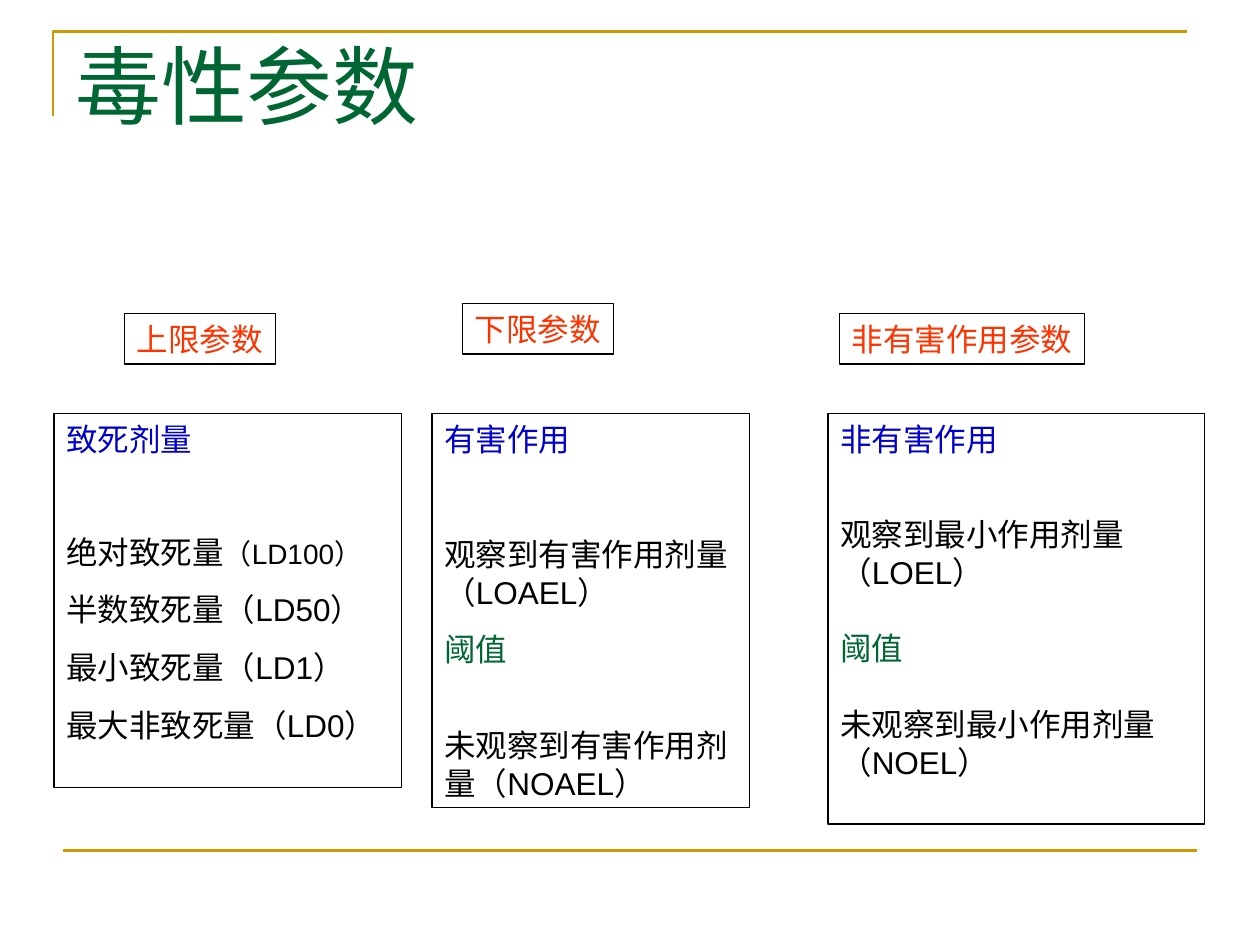
from dataclasses import dataclass

from lxml import etree
from pptx import Presentation
from pptx.dml.color import RGBColor
from pptx.enum import shapes, text
from pptx.oxml import ns
from pptx.util import Cm, Pt


@dataclass
class Theme:
    gold: str = "CC9900"
    green: str = "006633"
    red: str = "FF3300"
    blue: str = "0000CC"
    black: str = "000000"
    head: float = 49
    body: float = 18
    small: float = 16
    pitch: float = 21.7
    rule: float = 1.5
    edge: float = 0.75
    cjk: str = "Noto Sans CJK SC"
    sans: str = "Arial"


theme = Theme()


def style(run, size, tint, face):
    run.font.size = Pt(size)
    run.font.color.rgb = RGBColor.from_string(tint)
    run.font.name = face
    east = etree.SubElement(run.font._element, ns.qn("a:ea"))
    east.set("typeface", face)


def panel(left, top, width, height, rows, wrap):
    box = slide.shapes.add_shape(
        shapes.MSO_SHAPE.RECTANGLE, Cm(left), Cm(top), Cm(width), Cm(height))
    box.shadow.inherit = False
    box.fill.background()
    box.line.color.rgb = RGBColor.from_string(theme.black)
    box.line.width = Pt(theme.edge)
    frame = box.text_frame
    frame.word_wrap = wrap
    frame.vertical_anchor = text.MSO_ANCHOR.TOP
    for i, (gap, tint, words, *tail) in enumerate(rows):
        para = frame.add_paragraph() if i else frame.paragraphs[0]
        para.text = words
        para.alignment = text.PP_ALIGN.LEFT
        para.line_spacing = Pt(theme.pitch)
        para.space_before = Pt(gap)
        style(para.runs[0], theme.body, tint, theme.sans)
        for part in tail:
            run = para.add_run()
            run.text = part
            style(run, theme.small, tint, theme.sans)


deck = Presentation()
deck.slide_width, deck.slide_height = Cm(25.4), Cm(19.05)
slide = deck.slides.add_slide(deck.slide_layouts[5])

pen = slide.shapes.build_freeform(Cm(1.07), Cm(2.34))
pen.add_line_segments([(Cm(1.07), Cm(0.64)), (Cm(23.93), Cm(0.64))], close=False)
frame = pen.convert_to_shape()
frame.shadow.inherit = False
frame.fill.background()
foot = slide.shapes.add_connector(
    shapes.MSO_CONNECTOR.STRAIGHT, Cm(1.27), Cm(17.15), Cm(24.13), Cm(17.15))
etree.SubElement(foot._element.spPr, ns.qn("a:effectLst"))
for rule in (frame, foot):
    rule.line.color.rgb = RGBColor.from_string(theme.gold)
    rule.line.width = Pt(theme.rule)

title = slide.shapes.title
title.left, title.top, title.width, title.height = Cm(1.27), Cm(0.76), Cm(22.86), Cm(3.18)
title.text_frame.text = "毒性参数"
title.text_frame.auto_size = text.MSO_AUTO_SIZE.NONE
title.text_frame.vertical_anchor = text.MSO_ANCHOR.TOP
para = title.text_frame.paragraphs[0]
para.alignment = text.PP_ALIGN.LEFT
para.line_spacing = 0.9
style(para.runs[0], theme.head, theme.green, theme.cjk)

labels = [
    (2.51, 6.32, 3.05, "上限参数"),
    (9.32, 6.12, 3.05, "下限参数"),
    (16.92, 6.32, 4.95, "非有害作用参数"),
]
for left, top, width, words in labels:
    panel(left, top, width, 1.02, [(0, theme.red, words)], False)

lists = [
    (1.09, 7.01, 7.54, [
        (0, theme.blue, "致死剂量"),
        (43, theme.black, "绝对致死量", "（LD100）"),
        (11.2, theme.black, "半数致死量（LD50）"),
        (11.2, theme.black, "最小致死量（LD1）"),
        (11.2, theme.black, "最大非致死量（LD0）"),
    ]),
    (8.71, 6.4, 7.95, [
        (0, theme.blue, "有害作用"),
        (44, theme.black, "观察到有害作用剂量（LOAEL）"),
        (11.2, theme.green, "阈值"),
        (33, theme.black, "未观察到有害作用剂量（NOAEL）"),
    ]),
    (16.69, 7.59, 8.28, [
        (0, theme.blue, "非有害作用"),
        (33, theme.black, "观察到最小作用剂量（LOEL）"),
        (21.7, theme.green, "阈值"),
        (21.7, theme.black, "未观察到最小作用剂量（NOEL）"),
    ]),
]
for left, width, height, rows in lists:
    panel(left, 8.33, width, height, rows, True)

deck.save("out.pptx")
